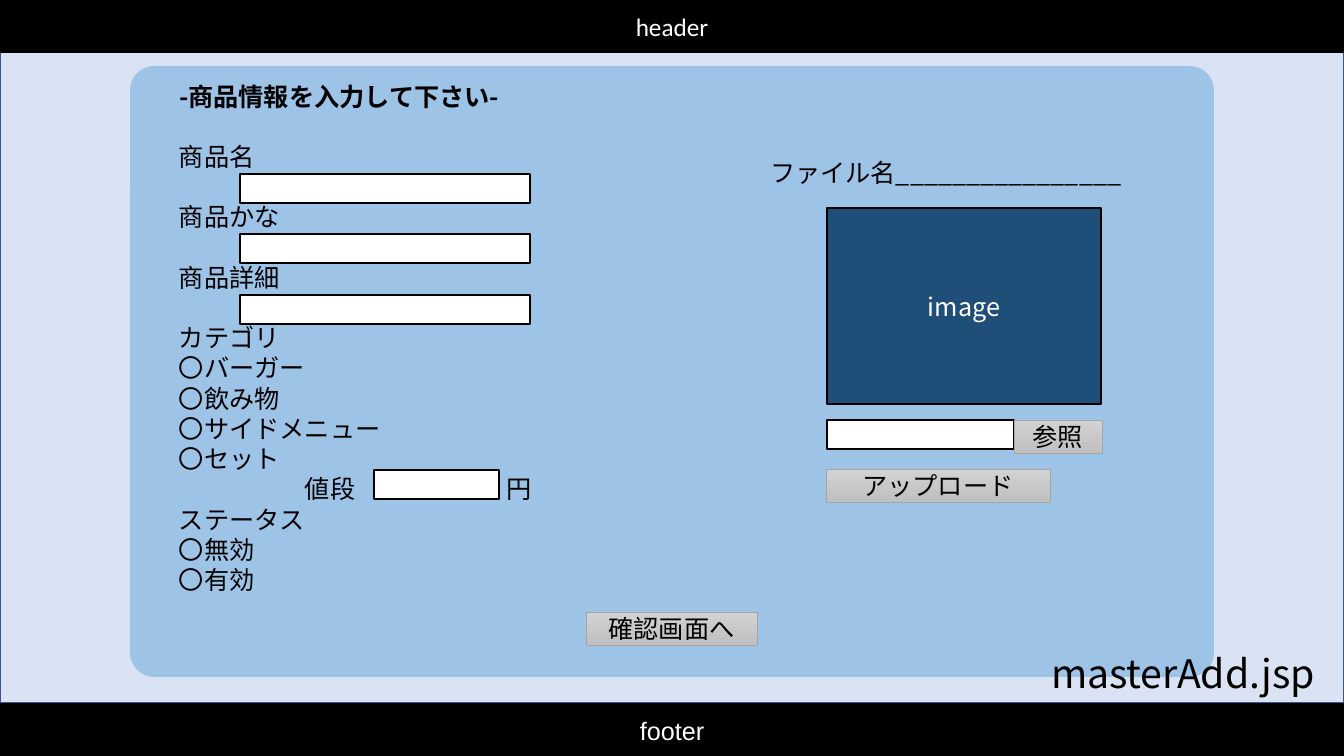
import dataclasses

import pptx
import pptx.dml.color
import pptx.enum.shapes
import pptx.enum.text
import pptx.oxml
import pptx.oxml.ns
import pptx.util

# Content: rows are (text, starts a new field after a blank gap)
HEADING = "-商品情報を入力して下さい-"
FORM_ROWS = [
    ("商品名", False),
    ("商品かな", True),
    ("商品詳細", True),
    ("カテゴリ", True),
    ("〇バーガー", False),
    ("〇飲み物", False),
    ("〇サイドメニュー", False),
    ("〇セット", False),
    ("\t値段\t円", False),
    ("ステータス", False),
    ("〇無効", False),
    ("〇有効", False),
]
FILE_LABEL = "ファイル名" + "_" * 16
PAGE_NAME = "masterAdd.jsp"

# Places in px: left, top, width, height
SLIDE_WIDTH, SLIDE_HEIGHT, BAR_HEIGHT = 1344, 756, 52
BACKDROP = (0, 52, SLIDE_WIDTH, 651)
PANEL = (130, 66, 1084, 611)
HEADING_BOX = (169, 76, 432, 40)
FORM_BOX = (169, 136, 432, 528)
FIELD_STEP = 60.5
FIELDS = [(240, round(174 + FIELD_STEP * row), 290, 29) for row in range(3)]
INPUTS = FIELDS + [(374, 470, 125, 29), (827, 420, 187, 29)]
IMAGE_BOX = (827, 208, 274, 196)
FILE_BOX = (760, 152, 463, 40)
PAGE_NAME_BOX = (1041, 644, 303, 57)
BUTTONS = [
    ("確認画面へ", (586, 612, 171, 33)),
    ("参照", (1014, 420, 88, 33)),
    ("アップロード", (826, 469, 224, 33)),
]
PRICE_TABS = (126, 328)


@dataclasses.dataclass(frozen=True)
class Theme:
    black: str = "000000"
    white: str = "FFFFFF"
    backdrop: str = "DAE3F3"
    backdrop_line: str = "325491"
    panel: str = "9DC3E6"
    image: str = "1F4E79"
    button: tuple = ("D2D2D2", "C0C0C0")
    button_line: str = "A5A5A5"
    font: str = "Noto Sans CJK JP"
    header_font: str = "Calibri"
    footer_font: str = "Arial"
    body_size: int = 18
    page_size: int = 28
    row_height: float = 21.6


THEME = Theme()
RECTANGLE = pptx.enum.shapes.MSO_SHAPE.RECTANGLE
ALIGN = pptx.enum.text.PP_ALIGN
ANCHOR = pptx.enum.text.MSO_ANCHOR


def px(length):
    return pptx.util.Emu(round(length * 12192000 / SLIDE_WIDTH))


def rgb(color):
    return pptx.dml.color.RGBColor.from_string(color)


def write(shape, rows, font=THEME.font, size=THEME.body_size, color=THEME.black,
          bold=False, align=ALIGN.LEFT, anchor=ANCHOR.TOP, spacing=None, tabs=(), wrap=True):
    frame = shape.text_frame
    frame.auto_size = pptx.enum.text.MSO_AUTO_SIZE.NONE
    frame.word_wrap = wrap
    frame.vertical_anchor = anchor
    frame.margin_left = frame.margin_right = px(10)
    frame.margin_top = frame.margin_bottom = px(5)
    for index, (text, gap) in enumerate(rows):
        paragraph = frame.paragraphs[0] if index == 0 else frame.add_paragraph()
        paragraph.alignment = align
        if spacing:
            paragraph.line_spacing = pptx.util.Pt(spacing)
        if gap:
            paragraph.space_before = pptx.util.Pt(spacing)
        if "\t" in text:
            properties = paragraph._p.get_or_add_pPr()
            tab_list = pptx.oxml.parse_xml(f"<a:tabLst {pptx.oxml.ns.nsdecls('a')}/>")
            for position in tabs:
                tab = tab_list.makeelement(pptx.oxml.ns.qn("a:tab"), pos=str(px(position)), algn="l")
                tab_list.append(tab)
            properties.append(tab_list)
        run = paragraph.add_run()
        run.text = text
        run.font.name = font
        run.font.size = pptx.util.Pt(size)
        run.font.bold = bold
        run.font.color.rgb = rgb(color)
        east_asian = pptx.oxml.parse_xml(
            f'<a:ea {pptx.oxml.ns.nsdecls("a")} typeface="{font}"/>')
        run.font._element.append(east_asian)


def add_box(slide, place, fill, line=None, width=1, kind=RECTANGLE):
    shape = slide.shapes.add_shape(kind, *map(px, place))
    shape.shadow.inherit = False
    if isinstance(fill, tuple):
        shape.fill.gradient()
        shape.fill.gradient_angle = 270
        for stop, color in zip(shape.fill.gradient_stops, fill):
            stop.color.rgb = rgb(color)
    else:
        shape.fill.solid()
        shape.fill.fore_color.rgb = rgb(fill)
    if line:
        shape.line.color.rgb = rgb(line)
        shape.line.width = pptx.util.Pt(width)
    else:
        shape.line.fill.background()
    return shape


def add_text(slide, place, rows, **style):
    write(slide.shapes.add_textbox(*map(px, place)), rows, **style)


def main():
    presentation = pptx.Presentation()
    presentation.slide_width = px(SLIDE_WIDTH)
    presentation.slide_height = px(SLIDE_HEIGHT)
    slide = presentation.slides.add_slide(presentation.slide_layouts[5])
    centred = {"align": ALIGN.CENTER, "anchor": ANCHOR.MIDDLE}

    # Backdrop and panel
    add_box(slide, BACKDROP, THEME.backdrop, THEME.backdrop_line)
    panel = add_box(slide, PANEL, THEME.panel,
                    kind=pptx.enum.shapes.MSO_SHAPE.ROUNDED_RECTANGLE)
    panel.adjustments[0] = 0.04

    # Heading, brought in front of the panel
    title = slide.shapes.title
    title.left, title.top, title.width, title.height = map(px, HEADING_BOX)
    write(title, [(HEADING, False)], bold=True, spacing=THEME.row_height)
    panel.element.addnext(title.element)

    # Header and footer bars
    bars = [("header", 0, THEME.header_font),
            ("footer", SLIDE_HEIGHT - BAR_HEIGHT, THEME.footer_font)]
    for text, top, font in bars:
        bar = add_box(slide, (0, top, SLIDE_WIDTH, BAR_HEIGHT), THEME.black, THEME.black)
        write(bar, [(text, False)], font=font, color=THEME.white, **centred)

    # File name and image preview
    add_text(slide, FILE_BOX, [(FILE_LABEL, False)])
    image = add_box(slide, IMAGE_BOX, THEME.image, THEME.black)
    write(image, [("image", False)], color=THEME.white, **centred)

    # Form labels and input fields
    add_text(slide, FORM_BOX, FORM_ROWS, spacing=THEME.row_height, tabs=PRICE_TABS)
    for place in INPUTS:
        add_box(slide, place, THEME.white, THEME.black)

    # Page name and buttons
    add_text(slide, PAGE_NAME_BOX, [(PAGE_NAME, False)], size=THEME.page_size)
    for text, place in BUTTONS:
        button = add_box(slide, place, THEME.button, THEME.button_line, width=0.5)
        write(button, [(text, False)], wrap=False, **centred)

    presentation.save("out.pptx")


if __name__ == "__main__":
    main()
